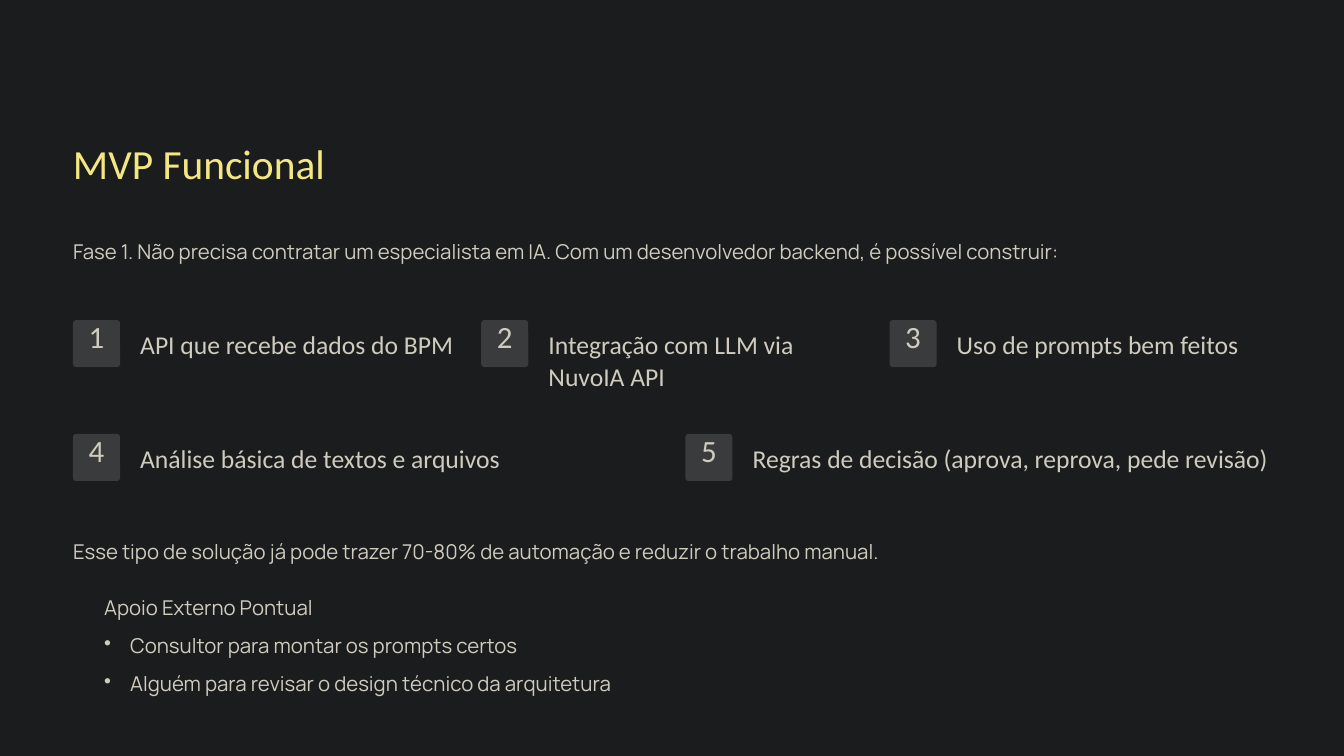
from dataclasses import dataclass
from lxml.etree import SubElement as Sub
from pptx import Presentation
from pptx.dml.color import RGBColor as Rgb
from pptx.enum.shapes import MSO_SHAPE as Shape
from pptx.enum.text import PP_ALIGN as Align
from pptx.oxml.ns import qn
from pptx.util import Pt


@dataclass(frozen=True)
class Theme:
    back: str = "1B1C1D"
    badge: str = "3A3B3C"
    gold: str = "F2E782"
    sand: str = "CFCBBF"
    head: str = "Calibri"
    body: str = "Manrope"

    def style(self, kind):
        """Give font, size, line height and colour for a kind of text."""
        return {
            "title": (self.head, 35.5, 44.5, self.gold),
            "body": (self.body, 17.5, 28.5, self.sand),
            "digit": (self.head, 26.5, 26.5, self.sand),
            "item": (self.head, 22, 27.5, self.sand),
        }[kind]


THEME = Theme()
LEFT, WIDE = 62.6, 1026.8
GAP = 23
STEPS = [
    (274.4, ["API que recebe dados do BPM",
             "Integração com LLM via NuvoIA API",
             "Uso de prompts bem feitos"]),
    (372, ["Análise básica de textos e arquivos",
           "Regras de decisão (aprova, reprova, pede revisão)"]),
]
HELP = ["Consultor para montar os prompts certos",
        "Alguém para revisar o design técnico da arquitetura"]


def add_dot(para, dent):
    props = para._p.get_or_add_pPr()
    props.set("marL", str(Pt(dent)))
    props.set("indent", str(-Pt(dent)))
    Sub(props, qn("a:buChar"), char="•")


def add_text(slide, box, lines, kind, align=Align.LEFT, dots=False):
    font, size, lead, color = THEME.style(kind)
    frame = slide.shapes.add_textbox(*map(Pt, box)).text_frame
    frame.word_wrap = True
    for side in ("left", "top", "right", "bottom"):
        setattr(frame, f"margin_{side}", 0)
    for i, line in enumerate(lines):
        para = frame.add_paragraph() if i else frame.paragraphs[0]
        para.text = line
        look = {"alignment": align, "line_spacing": Pt(lead)}
        if i:
            look["space_before"] = Pt(4.6)
        for name, value in look.items():
            setattr(para, name, value)
        if dots:
            add_dot(para, 22.3)
        face = para.runs[0].font
        for name, value in {"name": font, "size": Pt(size)}.items():
            setattr(face, name, value)
        face.color.rgb = Rgb.from_string(color)


def add_step(slide, box, digit, label):
    x, y, w, h = box
    side = 40.3
    badge = slide.shapes.add_shape(
        Shape.ROUNDED_RECTANGLE, *map(Pt, (x, y, side, side)))
    badge.adjustments[0] = 0.067
    badge.shadow.inherit = False
    badge.fill.solid()
    badge.fill.fore_color.rgb = Rgb.from_string(THEME.badge)
    badge.line.fill.background()
    add_text(slide, (x + 6.8, y + 3.3, 26.7, 33.8), [str(digit)],
             "digit", Align.CENTER)
    add_text(slide, (x + 57.6, y + 6.2, w - 57.6, h), [label], "item")


def add_steps(slide, x, w):
    """Place each row of steps in equal columns, numbered throughout."""
    digit = 1
    for y, labels in STEPS:
        col = (w - GAP * (len(labels) - 1)) / len(labels)
        for i, label in enumerate(labels):
            add_step(slide, (x + i * (col + GAP), y, col, 56.2), digit, label)
            digit += 1


def add_help(slide, x, y, w):
    add_text(slide, (x, y, w, 28.8), ["Apoio Externo Pontual"], "body")
    add_text(slide, (x, y + 32.4, w, 66.2), HELP, "body", dots=True)


def main():
    deck = Presentation()
    deck.slide_width, deck.slide_height = Pt(1152), Pt(648)
    slide = deck.slides.add_slide(deck.slide_layouts[6])
    back = slide.background.fill
    back.solid()
    back.fore_color.rgb = Rgb.from_string(THEME.back)
    add_text(slide, (LEFT, 116.6, 357, 44.6), ["MVP Funcional"], "title")
    add_text(slide, (LEFT, 197.3, WIDE, 35.3),
             ["Fase 1. Não precisa contratar um especialista em IA. "
              "Com um desenvolvedor backend, é possível construir:"], "body")
    add_steps(slide, LEFT, WIDE)
    add_text(slide, (LEFT, 454.3, WIDE, 28.8),
             ["Esse tipo de solução já pode trazer 70-80% de automação "
              "e reduzir o trabalho manual."], "body")
    add_help(slide, LEFT + 26.7, 502.6, 576)
    deck.save("out.pptx")


if __name__ == "__main__":
    main()
